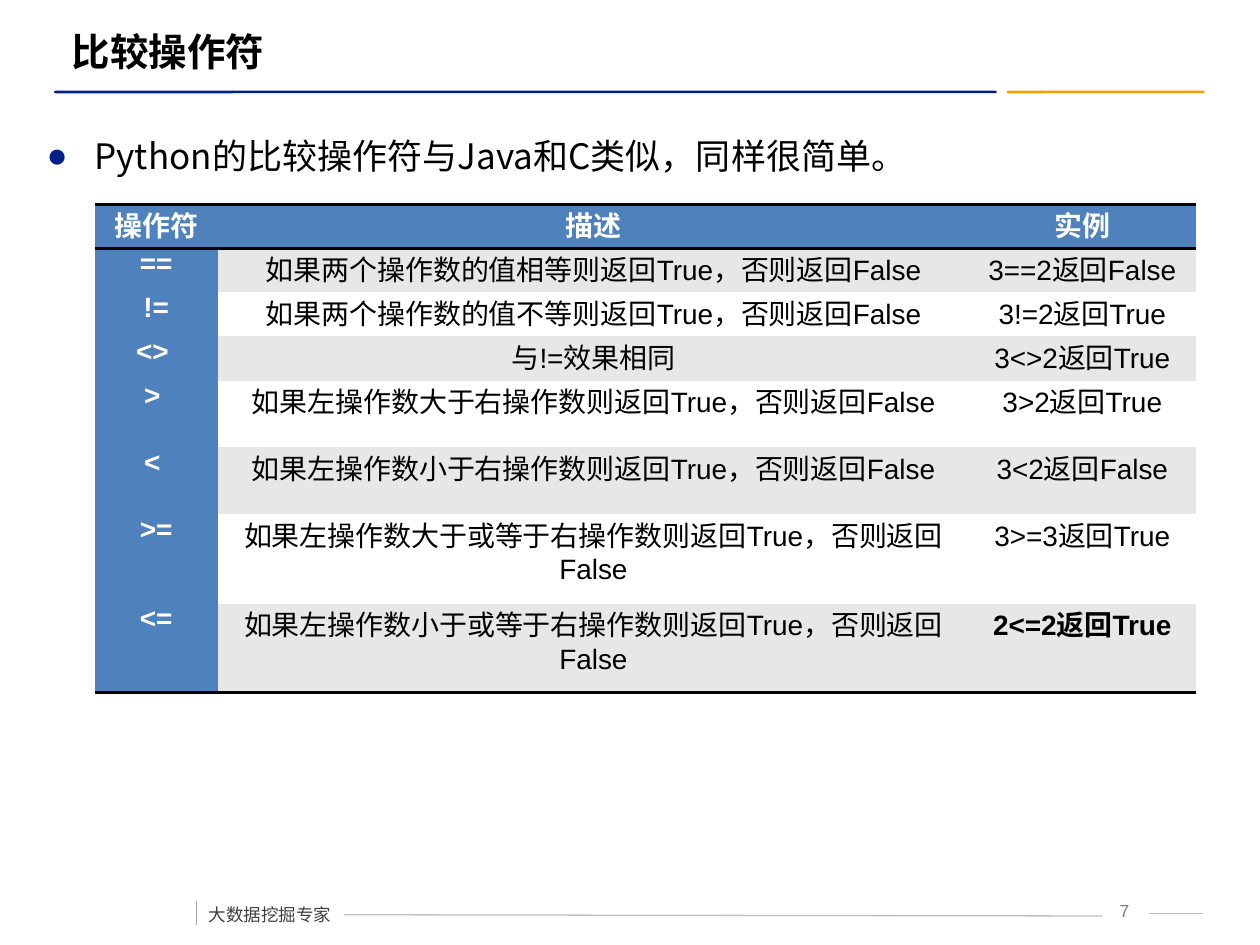
from lxml.etree import SubElement
from pptx import Presentation
from pptx.dml.color import RGBColor
from pptx.enum.shapes import MSO_CONNECTOR, MSO_SHAPE
from pptx.enum.text import MSO_ANCHOR, MSO_AUTO_SIZE, PP_ALIGN
from pptx.oxml import parse_xml
from pptx.oxml.ns import nsdecls, qn
from pptx.util import Inches, Pt

COLORS = {
    "text": "000000", "white": "FFFFFF", "navy": "031D89", "bullet": "032089",
    "orange": "F5A000", "table_blue": "4F81BD", "band": "E7E7E7",
    "footer_rule": "BFBFBF", "footer_bar": "A6A6A6",
    "footer_text": "404040", "page_number": "7F7F7F",
}
LATIN, CJK = "Arial", "Noto Sans CJK SC"
NO_STYLE = "{2D5ABB26-0587-4C30-8999-92F81FD0307C}"
COLUMNS = (0.98, 5.96, 1.8)
ROWS = (0.35,) * 4 + (0.53,) * 2 + (0.71,) * 2
OPERATORS = [
    ("操作符", "描述", "实例"),
    ("==", "如果两个操作数的值相等则返回True，否则返回False", "3==2返回False"),
    ("!=", "如果两个操作数的值不等则返回True，否则返回False", "3!=2返回True"),
    ("<> ", "与!=效果相同", "3<>2返回True"),
    ("> ", "如果左操作数大于右操作数则返回True，否则返回False", "3>2返回True"),
    ("< ", "如果左操作数小于右操作数则返回True，否则返回False", "3<2返回False"),
    (">=", "如果左操作数大于或等于右操作数则返回True，否则返回False", "3>=3返回True"),
    ("<=", "如果左操作数小于或等于右操作数则返回True，否则返回False", "2<=2返回True"),
]


def rgb(color):
    return RGBColor.from_string(COLORS[color])


def apply(target, **values):
    for name, value in values.items():
        setattr(target, name, value)


def place(part, box):
    apply(part, **dict(zip(("left", "top", "width", "height"), map(Inches, box))))


def write(paragraph, text, size, color, font=LATIN, bold=False, **layout):
    apply(paragraph, **layout)
    run = paragraph.add_run()
    run.text = text
    apply(run.font, name=font, size=Pt(size), bold=bold)
    run.font.color.rgb = rgb(color)
    SubElement(run.font._element, qn("a:ea"), typeface=CJK)


def add_rule(slide, start, end, color):
    rule = slide.shapes.add_connector(
        MSO_CONNECTOR.STRAIGHT, *map(Inches, start + end))
    rule.line.width = Pt(0.75)
    rule.line.color.rgb = rgb(color)
    SubElement(rule._element.spPr, qn("a:effectLst"))


def add_heading(slide, box):
    left, top, width, height = box
    heading = slide.shapes.title
    place(heading, box)
    apply(heading.text_frame, vertical_anchor=MSO_ANCHOR.MIDDLE,
          auto_size=MSO_AUTO_SIZE.NONE)
    write(heading.text_frame.paragraphs[0], "比较操作符", 22, "text",
          bold=True, alignment=PP_ALIGN.LEFT)
    for offset, length, color in ((-0.04, 7.48, "navy"), (7.52, 1.57, "orange")):
        underline = slide.shapes.add_shape(
            MSO_SHAPE.ROUNDED_RECTANGLE, Inches(left + offset),
            Inches(top + height + 0.08), Inches(length), Inches(0.02))
        underline.adjustments[0] = 0.5
        underline.shadow.inherit = False
        underline.fill.solid()
        underline.fill.fore_color.rgb = rgb(color)
        underline.line.fill.background()


def add_statement(slide, box):
    statement = slide.placeholders[1]
    place(statement, box)
    apply(statement.text_frame, auto_size=MSO_AUTO_SIZE.NONE)
    paragraph = statement.text_frame.paragraphs[0]
    write(paragraph, "Python的比较操作符与Java和C类似，同样很简单。", 20, "text",
          font=CJK, line_spacing=1.5)
    properties = paragraph._p.get_or_add_pPr()
    properties.set("marL", str(Inches(0.38)))
    properties.set("indent", str(Inches(-0.38)))
    bullet_color = SubElement(properties, qn("a:buClr"))
    SubElement(bullet_color, qn("a:srgbClr"), val=COLORS["bullet"])
    SubElement(properties, qn("a:buChar"), char="●")


def add_borders(cell, sides):
    for position, side in enumerate(sides):
        cell._tc.get_or_add_tcPr().insert(position, parse_xml(
            f'<a:ln{side} {nsdecls("a")} w="{Pt(2)}"><a:solidFill>'
            f'<a:srgbClr val="{COLORS["text"]}"/></a:solidFill></a:ln{side}>'))


def add_operator_table(slide, box):
    table = slide.shapes.add_table(
        len(ROWS), len(COLUMNS), *map(Inches, box)).table
    table._tbl.tblPr.find(qn("a:tableStyleId")).text = NO_STYLE
    for column, width in zip(table.columns, COLUMNS):
        column.width = Inches(width)
    for row, height in zip(table.rows, ROWS):
        row.height = Inches(height)
    last = len(ROWS) - 1
    for r, values in enumerate(OPERATORS):
        for c, text in enumerate(values):
            cell = table.cell(r, c)
            label = r == 0 or c == 0
            apply(cell, margin_left=Inches(0.08), margin_right=Inches(0.08),
                  margin_top=0, margin_bottom=0)
            cell.fill.solid()
            cell.fill.fore_color.rgb = rgb(
                "table_blue" if label else "band" if r % 2 else "white")
            write(cell.text_frame.paragraphs[0], text, 16,
                  "white" if label else "text",
                  bold=label or (r, c) == (last, 2), alignment=PP_ALIGN.CENTER)
            add_borders(cell, "TB" if r == 0 else "B" if r == last else "")


def add_footer(slide, box):
    left, top, width, height = box
    right = left + width
    add_rule(slide, (left + 1.17, top + 0.22), (right - 0.8, top + 0.23), "footer_rule")
    add_rule(slide, (right - 0.43, top + 0.21), (right, top + 0.21), "footer_rule")
    add_rule(slide, (left, top + 0.11), (left, top + 0.3), "footer_bar")
    motto = slide.shapes.add_textbox(*map(Inches, (left, top, 1.18, height)))
    motto.text_frame.word_wrap = False
    write(motto.text_frame.paragraphs[0], "大数据挖掘专家", 10, "footer_text",
          font=CJK, line_spacing=1.5, space_before=Pt(6))
    page = slide.shapes.add_textbox(
        *map(Inches, (right - 0.88, top + 0.05, 0.47, 0.25)))
    page.text_frame.word_wrap = True
    write(page.text_frame.paragraphs[0], " 7", 10, "page_number",
          alignment=PP_ALIGN.CENTER)


def main():
    deck = Presentation()
    apply(deck, slide_width=Inches(10), slide_height=Inches(7.5))
    slide = deck.slides.add_slide(deck.slide_layouts[1])
    add_heading(slide, (0.47, 0.17, 9.1, 0.47))
    add_statement(slide, (0.27, 0.85, 9.27, 0.7))
    add_operator_table(slide, (0.75, 1.62, sum(COLUMNS), sum(ROWS)))
    add_footer(slide, (1.56, 7.04, 7.99, 0.35))
    deck.save("out.pptx")


if __name__ == "__main__":
    main()
